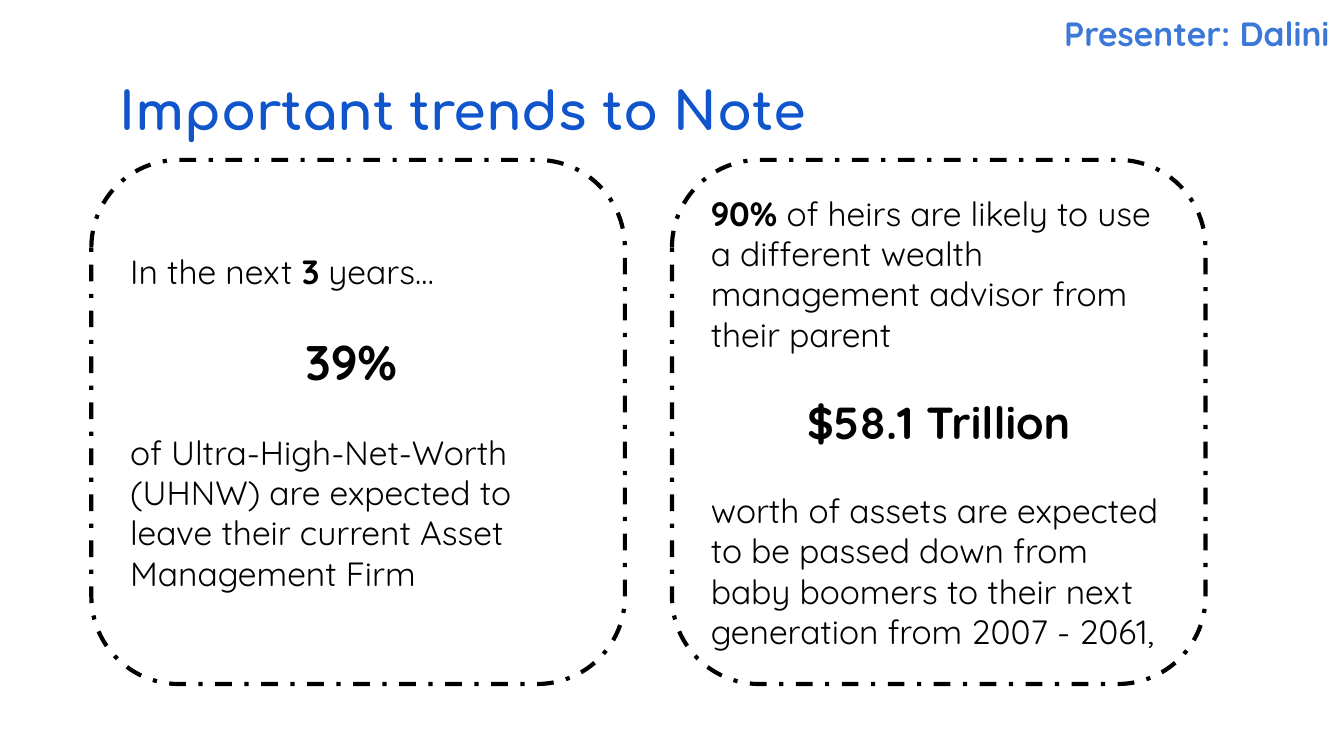
from pptx import Presentation
from pptx.dml.color import RGBColor
from pptx.enum import dml, shapes, text
from pptx.util import Inches, Pt

BLACK = RGBColor(0x00, 0x00, 0x00)
TITLE_BLUE = RGBColor(0x11, 0x55, 0xCC)
PRESENTER_BLUE = RGBColor(0x3C, 0x78, 0xD8)
BODY_FONT = "Quicksand"
LEFT, CENTER = text.PP_ALIGN.LEFT, text.PP_ALIGN.CENTER

TITLE = "Important trends to Note"
PRESENTER = "Presenter: Dalini"
CARDS = [
    [
        (LEFT, 18, [("In the next ", False), ("3", True), (" years…", False)]),
        (CENTER, 26, [("39% ", True)]),
        (LEFT, 18, [("of Ultra-High-Net-Worth (UHNW) are expected to leave "
                     "their current Asset Management Firm", False)]),
    ],
    [
        (LEFT, 18, [("90% ", True),
                    ("of heirs are likely to use a different wealth "
                     "management advisor from their parent", False)]),
        (CENTER, 24, [("$58.1 Trillion", True)]),
        (LEFT, 18, [("worth of assets are expected to be passed down from baby "
                     "boomers to their next generation from 2007 - 2061,", False)]),
    ],
]
SLIDE_WIDTH = 10
SLIDE_HEIGHT = SLIDE_WIDTH * 9 / 16
CARD_LEFT, CARD_TOP, CARD_WIDTH, CARD_HEIGHT = 0.68, 1.19, 3.97, 3.9
CARD_GAP = 0.35
PARAGRAPH_GAP = 22


def prepare_frame(box, anchor):
    frame = box.text_frame
    frame.word_wrap = True
    frame.auto_size = text.MSO_AUTO_SIZE.NONE
    frame.vertical_anchor = anchor
    frame.margin_left = frame.margin_right = Inches(0.1)
    frame.margin_top = frame.margin_bottom = Inches(0.1)
    return frame


def style(span, font, size, color, bold):
    span.font.name = font
    span.font.size = Pt(size)
    span.font.color.rgb = color
    span.font.bold = bold


def write_line(box, words, font, size, color, align):
    frame = prepare_frame(box, text.MSO_ANCHOR.TOP)
    frame.text = words
    para = frame.paragraphs[0]
    para.alignment = align
    style(para.runs[0], font, size, color, True)


def add_card(page, index, lines):
    left = CARD_LEFT + index * (CARD_WIDTH + CARD_GAP)
    card = page.shapes.add_shape(
        shapes.MSO_SHAPE.ROUNDED_RECTANGLE,
        Inches(left), Inches(CARD_TOP), Inches(CARD_WIDTH), Inches(CARD_HEIGHT))
    card.adjustments[0] = 0.167
    card.shadow.inherit = False
    card.fill.background()
    card.line.color.rgb = BLACK
    card.line.width = Pt(2.25)
    card.line.dash_style = dml.MSO_LINE.DASH_DOT
    frame = prepare_frame(card, text.MSO_ANCHOR.MIDDLE)
    for number, (align, size, spans) in enumerate(lines):
        para = frame.add_paragraph() if number else frame.paragraphs[0]
        para.alignment = align
        if number:
            para.space_before = Pt(PARAGRAPH_GAP)
        for words, bold in spans:
            span = para.add_run()
            span.text = words
            style(span, BODY_FONT, size, BLACK, bold)


deck = Presentation()
deck.slide_width, deck.slide_height = Inches(SLIDE_WIDTH), Inches(SLIDE_HEIGHT)
page = deck.slides.add_slide(deck.slide_layouts[5])

title = page.shapes.title
title.left, title.top = Inches(0.79), Inches(0.48)
title.width, title.height = Inches(7.69), Inches(0.82)
write_line(title, TITLE, "Comfortaa", 28, TITLE_BLUE, LEFT)

for index, lines in enumerate(CARDS):
    add_card(page, index, lines)

presenter = page.shapes.add_textbox(Inches(7.81), 0, Inches(2.19), Inches(0.53))
write_line(presenter, PRESENTER, BODY_FONT, 18, PRESENTER_BLUE, CENTER)

deck.save("out.pptx")
